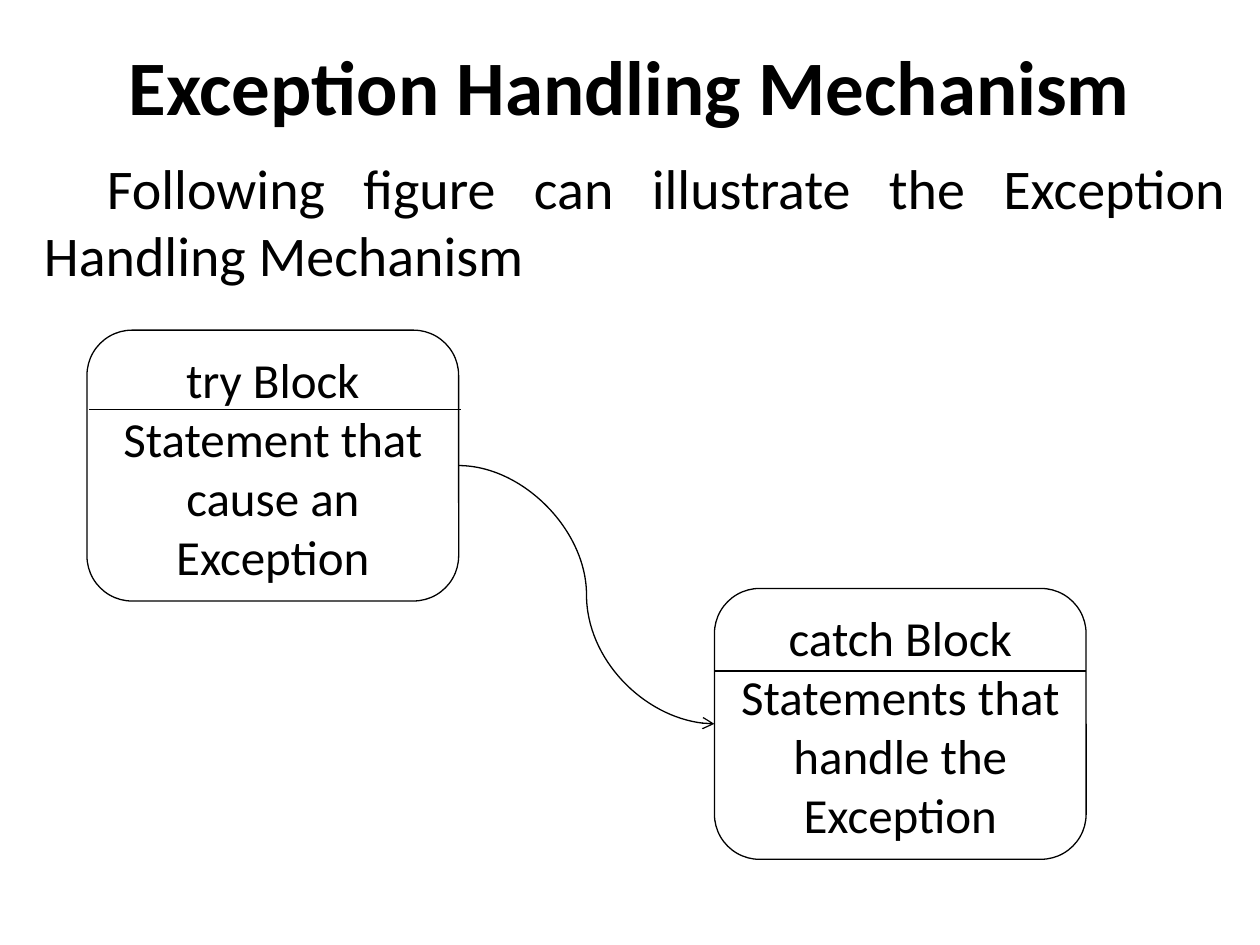
from lxml import etree
from pptx import Presentation
from pptx.dml.color import RGBColor
from pptx.enum.shapes import MSO_CONNECTOR, MSO_SHAPE
from pptx.enum.text import MSO_ANCHOR, PP_ALIGN
from pptx.oxml.ns import qn
from pptx.util import Inches, Pt

BLACK = RGBColor(0x00, 0x00, 0x00)
WHITE = RGBColor(0xFF, 0xFF, 0xFF)
STRAIGHT, CURVE = MSO_CONNECTOR.STRAIGHT, MSO_CONNECTOR.CURVE
ROUNDED = MSO_SHAPE.ROUNDED_RECTANGLE
TOP, MIDDLE = MSO_ANCHOR.TOP, MSO_ANCHOR.MIDDLE
CENTER, JUSTIFY = PP_ALIGN.CENTER, PP_ALIGN.JUSTIFY
LEFT_SIDE, RIGHT_SIDE = 1, 3

COLUMNS, ROWS = 40, 30
BLOCK_WIDTH, BLOCK_HEIGHT = 11.8, 8.6


class SlideBuilder:
    """Places elements on the slide by grid columns and rows."""

    font = "Calibri"
    line_width = Pt(0.75)

    def __init__(self, presentation):
        self.slide = presentation.slides.add_slide(presentation.slide_layouts[6])
        self.column = presentation.slide_width / COLUMNS
        self.row = presentation.slide_height / ROWS

    def place(self, column, row):
        return round(column * self.column), round(row * self.row)

    def fill_text(self, shape, text, size, align, anchor=TOP, bold=False):
        frame = shape.text_frame
        frame.word_wrap = True
        frame.vertical_anchor = anchor
        frame.text = text
        for paragraph in frame.paragraphs:
            paragraph.alignment = align
            for run in paragraph.runs:
                run.font.name = self.font
                run.font.size = Pt(size)
                run.font.bold = bold
                run.font.color.rgb = BLACK

    def text(self, column, row, width, height, text, size, align, **style):
        box = self.slide.shapes.add_textbox(*self.place(column, row), *self.place(width, height))
        self.fill_text(box, text, size, align, **style)

    def connector(self, kind, start, end):
        connector = self.slide.shapes.add_connector(kind, *self.place(*start), *self.place(*end))
        connector.line.color.rgb = BLACK
        connector.line.width = self.line_width
        etree.SubElement(connector._element.spPr, qn("a:effectLst"))
        return connector

    def block(self, column, row, heading, body, divider_row, divider_shift=0):
        """Draws a rounded block whose heading is set off by a dividing line."""
        block = self.slide.shapes.add_shape(
            ROUNDED, *self.place(column, row), *self.place(BLOCK_WIDTH, BLOCK_HEIGHT))
        block.shadow.inherit = False
        block.fill.solid()
        block.fill.fore_color.rgb = WHITE
        block.line.color.rgb = BLACK
        block.line.width = self.line_width
        self.fill_text(block, f"{heading}\n{body}", 28, CENTER)
        left = column + divider_shift
        self.connector(STRAIGHT, (left, divider_row), (left + BLOCK_WIDTH, divider_row))
        return block

    def curved_arrow(self, source, target):
        arrow = self.connector(CURVE, (0, 0), (1, 1))
        arrow.begin_connect(source, RIGHT_SIDE)
        arrow.end_connect(target, LEFT_SIDE)
        line = arrow._element.spPr.find(qn("a:ln"))
        etree.SubElement(line, qn("a:tailEnd"), type="arrow")


def main():
    presentation = Presentation()
    presentation.slide_width, presentation.slide_height = Inches(10), Inches(7.5)
    builder = SlideBuilder(presentation)

    builder.text(0, 0.68, COLUMNS, 4, "Exception Handling Mechanism", 44, CENTER,
                 anchor=MIDDLE, bold=True)
    builder.text(1, 4.68, 38.32, 4.72,
                 "\tFollowing figure can illustrate the Exception Handling Mechanism",
                 32, JUSTIFY)
    try_block = builder.block(2.76, 10.48, "try Block",
                              "Statement that cause an Exception", 13, divider_shift=0.08)
    catch_block = builder.block(22.68, 18.68, "catch Block",
                                "Statements that handle the Exception", 21.3)
    builder.curved_arrow(try_block, catch_block)

    presentation.save("out.pptx")


if __name__ == "__main__":
    main()
